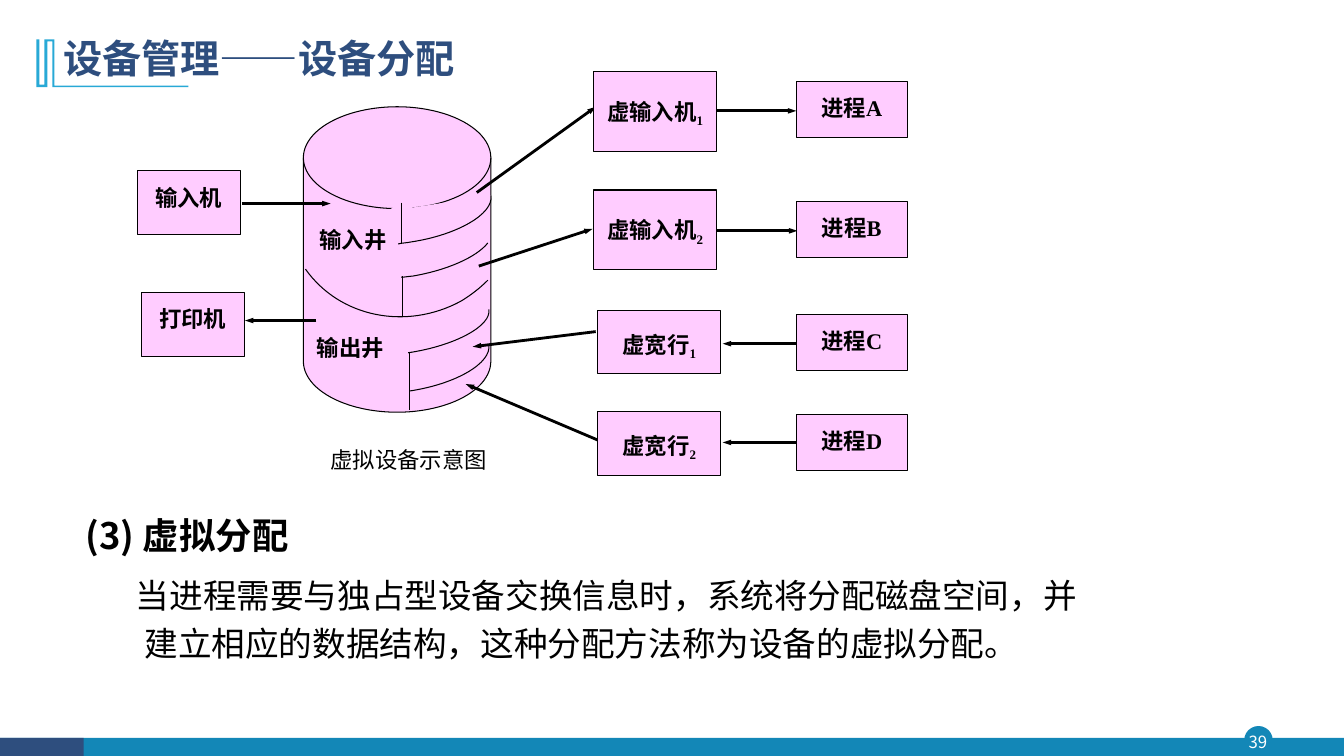
"""Build the slide on virtual device allocation, laid out on a grid of 0.1 inch cells."""
from copy import deepcopy
from dataclasses import dataclass
from typing import NamedTuple, Optional, Union

from lxml.etree import SubElement
from pptx import Presentation
from pptx.dml.color import RGBColor
from pptx.enum.shapes import MSO_CONNECTOR, MSO_SHAPE
from pptx.enum.text import MSO_ANCHOR, PP_ALIGN
from pptx.oxml.ns import qn
from pptx.shapes.autoshape import Shape
from pptx.shapes.shapetree import GroupShapes, SlideShapes
from pptx.util import Emu, Inches, Pt

PINK = RGBColor(0xFF, 0xCC, 0xFF)
BLACK = RGBColor(0x00, 0x00, 0x00)
WHITE = RGBColor(0xFF, 0xFF, 0xFF)
NAVY = RGBColor(0x2E, 0x4E, 0x7E)
TEAL = RGBColor(0x13, 0x87, 0xB7)
SKY = RGBColor(0x28, 0xA9, 0xD6)
SANS, SERIF = "Noto Sans CJK SC", "Times New Roman"
COLUMNS, ROWS = 133.33, 75
Canvas = Union[SlideShapes, GroupShapes]


class Point(NamedTuple):
    column: float
    row: float


class Area(NamedTuple):
    column: float
    row: float
    columns: float
    rows: float


@dataclass(frozen=True)
class Style:
    size: float = 16
    font: str = SERIF
    color: RGBColor = BLACK
    bold: bool = True
    align: PP_ALIGN = PP_ALIGN.LEFT
    spacing: float = 1.0
    before: float = 0
    anchor: MSO_ANCHOR = MSO_ANCHOR.TOP
    margin: Optional[float] = None


@dataclass(frozen=True)
class Label:
    area: Area
    text: str
    style: Style
    index: str = ""


@dataclass(frozen=True)
class Sector:
    arc: tuple[tuple[float, float], ...]
    corner: tuple[float, float]


DEVICE = Style(align=PP_ALIGN.CENTER, spacing=1.3)
PRINTER = Style(align=PP_ALIGN.CENTER, spacing=1.5, before=4.8)
READER = Style(align=PP_ALIGN.CENTER, spacing=1.7, before=4.8)
WELL = Style(align=PP_ALIGN.JUSTIFY)
HEADING = Style(26, SANS, align=PP_ALIGN.JUSTIFY, spacing=1.5, before=7.8)
BODY = Style(24, bold=False, spacing=1.2, before=7.2)

PROCESSES = [Label(Area(79, row, 11, 5.6), f"进程{name}", DEVICE)
             for name, row in zip("ABCD", (8.05, 20, 31.2, 41.1))]
READERS = [Label(Area(58.9, row, 12.2, 7.9), "虚输入机", READER, index)
           for index, row in (("1", 7.1), ("2", 18.85))]
PRINTERS = [Label(Area(59.3, row, 12.2, 6.3), "虚宽行", PRINTER, index)
            for index, row in (("1", 30.8), ("2", 40.85))]
DEVICES = [Label(Area(13.6, 16.95, 10.25, 6.35), "输入机", DEVICE),
           Label(Area(14, 29, 10.25, 6.35), "打印机", DEVICE)]
WELLS = [Label(Area(30.7, 21.9, 9.9, 4.6), "输入井", WELL),
         Label(Area(30.45, 32.65, 9.5, 5.6), "输出井", WELL)]
CAPTIONS = [
    Label(Area(31.8, 43.8, 19.8, 3.7), "虚拟设备示意图", Style(bold=False, before=4.8)),
    Label(Area(5.3, 3.2, 104.9, 5.6), "设备管理——设备分配",
          Style(28, SANS, NAVY, spacing=0.9, anchor=MSO_ANCHOR.MIDDLE)),
    Label(Area(123.2, 72, 3.2, 3.1), "39",
          Style(12, SANS, WHITE, False, PP_ALIGN.CENTER, anchor=MSO_ANCHOR.MIDDLE, margin=0)),
]
SECTORS = [
    Sector(((48.4, 27.8), (47.6, 28.6), (46.7, 29.3), (45.7, 29.9),
            (40.3, 32.8), (33.7, 31.5), (30.3, 26.7)), (40.1, 19.8)),
    Sector(((40.5, 35), (45.2, 34.3), (48.8, 32.3), (48.5, 30.7)), (40.1, 32)),
    Sector(((40.6, 38.8), (45.3, 38.1), (48.8, 36), (48.5, 34.2)), (40.1, 35.5)),
    Sector(((39.8, 27.5), (40.2, 27.5), (40.6, 27.4), (40.9, 27.4),
            (44.4, 26.8), (47.3, 25.5), (48.4, 24.1)), (40.4, 24)),
    Sector(((39.5, 24.2), (39.9, 24.1), (40.3, 24.1), (40.8, 24),
            (45.4, 23.3), (49, 21.2), (48.7, 19.4)), (40.2, 20.7)),
]
DIVIDERS = [(39.8, 20.1, 24.1), (39.95, 27.4, 31.4), (40.6, 34.9, 40.7)]
ARROWS = [
    (Point(81.1, 43.9), Point(71.7, 43.9)), (Point(81.1, 34.1), Point(71.7, 34.1)),
    (Point(69.7, 22.9), Point(79.1, 22.9)), (Point(69.6, 11), Point(79, 11)),
    (Point(24, 20.2), Point(32.8, 20.2)), (Point(31.4, 31.8), Point(24.3, 31.8)),
    (Point(47.3, 19.1), Point(59.1, 10.6)), (Point(47.5, 26.4), Point(58.8, 22.7)),
    (Point(59.1, 32.9), Point(46.9, 34.4)), (Point(59.4, 43.7), Point(46.2, 38.1)),
]
TITLE_MARK = (
    (5.4, 3.9), (5.4, 8.5), (18.7, 8.5), (18.7, 8.65), (5.2, 8.65), (5.2, 4.1), (4.7, 4.1),
    (4.7, 8.65), (3.6, 8.65), (3.6, 3.9), (3.9, 3.9), (3.9, 8.4), (4.4, 8.4), (4.4, 3.9))


def cells(count: float) -> Emu:
    """Turn a count of grid cells into a length."""
    return Inches(count / 10)


def paint(shape: Shape, fill: RGBColor, line: Optional[RGBColor], width: float = 0.75) -> None:
    """Set fill and outline and drop the shadow."""
    shape.shadow.inherit = False
    shape.fill.solid()
    shape.fill.fore_color.rgb = fill
    if line is None:
        shape.line.fill.background()
    else:
        shape.line.color.rgb, shape.line.width = line, Pt(width)


def format_paragraph(para, style: Style) -> None:
    """Apply a style to a paragraph and its runs."""
    para.alignment, para.line_spacing = style.align, style.spacing
    para.space_before = Pt(style.before)
    for span in para.runs:
        span.font.name, span.font.size, span.font.bold = style.font, Pt(style.size), style.bold
        span.font.color.rgb = style.color
        SubElement(span.font._element, qn("a:ea"), typeface=SANS)


def write(box: Shape, label: Label) -> None:
    """Put a label with its optional subscript into a box."""
    frame = box.text_frame
    frame.word_wrap, frame.vertical_anchor = True, label.style.anchor
    if label.style.margin is not None:
        frame.margin_left = frame.margin_right = cells(label.style.margin)
        frame.margin_top = frame.margin_bottom = cells(label.style.margin)
    frame.text = label.text
    para = frame.paragraphs[0]
    if label.index:
        span = para.add_run()
        span.text = label.index
        span.font._element.set("baseline", "-25000")
    format_paragraph(para, label.style)


def add_preset(canvas: Canvas, kind: MSO_SHAPE, area: Area, fill: RGBColor,
               line: Optional[RGBColor] = None, width: float = 0.75) -> Shape:
    """Draw a preset shape on the grid."""
    shape = canvas.add_shape(kind, *map(cells, area))
    paint(shape, fill, line, width)
    return shape


def add_outline(canvas: Canvas, points: tuple[tuple[float, float], ...],
                fill: RGBColor, line: Optional[RGBColor] = None) -> Shape:
    """Draw a closed freeform through grid points."""
    corners = [tuple(map(cells, point)) for point in points]
    builder = canvas.build_freeform(*corners[0])
    builder.add_line_segments(corners[1:], close=True)
    shape = builder.convert_to_shape()
    paint(shape, fill, line)
    return shape


def add_sector(canvas: Canvas, sector: Sector) -> None:
    """Draw a filled wedge whose curved side alone is stroked."""
    shape = add_outline(canvas, (*sector.arc, sector.corner), PINK, BLACK)
    wedge = next(shape._element.iter(qn("a:path")))
    knots = wedge.findall(qn("a:lnTo"))[:len(sector.arc) - 1]
    for first in range(0, len(knots), 3):
        curve = SubElement(wedge, qn("a:cubicBezTo"))
        knots[first].addprevious(curve)
        for knot in knots[first:first + 3]:
            curve.append(knot[0])
            wedge.remove(knot)
    arc = deepcopy(wedge)
    for side in arc.findall(qn("a:lnTo")) + arc.findall(qn("a:close")):
        arc.remove(side)
    arc.set("fill", "none")
    wedge.set("stroke", "0")
    wedge.addprevious(arc)


def add_line(canvas: Canvas, start: Point, end: Point, width: float, arrow: bool = False) -> None:
    """Draw a straight line, with an arrowhead at its end if asked."""
    line = canvas.add_connector(MSO_CONNECTOR.STRAIGHT, *map(cells, (*start, *end)))
    line.line.color.rgb, line.line.width = BLACK, Pt(width)
    if arrow:
        SubElement(line.line._get_or_add_ln(), qn("a:tailEnd"), type="triangle", w="sm", len="med")
    SubElement(line._element.spPr, qn("a:effectLst"))


def add_explanation(canvas: Canvas) -> None:
    """Write the heading and the paragraph under the diagram."""
    frame = canvas.add_textbox(*map(cells, Area(7.5, 48.25, 102.7, 18.5))).text_frame
    frame.word_wrap = True
    frame.text = ("(3) 虚拟分配\n当进程需要与独占型设备交换信息时，系统将分配磁盘空间，"
                  "并建立相应的数据结构，这种分配方法称为设备的虚拟分配。")
    for para, style in zip(frame.paragraphs, (HEADING, BODY)):
        format_paragraph(para, style)
    properties = frame.paragraphs[1]._p.get_or_add_pPr()
    properties.set("marL", str(cells(5.85)))
    properties.set("indent", str(cells(-0.85)))


def add_diagram(canvas: Canvas) -> None:
    """Draw the disk, its wells, the devices and the processes."""
    add_preset(canvas, MSO_SHAPE.FLOWCHART_MAGNETIC_DISK, Area(30.1, 10.6, 18.6, 30.3), PINK, BLACK)
    for sector in SECTORS:
        add_sector(canvas, sector)
    for column, top, bottom in DIVIDERS:
        add_line(canvas, Point(column, top), Point(column, bottom), 0.75)
    for start, end in ARROWS:
        add_line(canvas, start, end, 2, arrow=True)
    for label in PROCESSES + READERS + PRINTERS + DEVICES:
        write(add_preset(canvas, MSO_SHAPE.RECTANGLE, label.area, PINK, BLACK), label)
    for label in WELLS:
        write(canvas.add_textbox(*map(cells, label.area)), label)


def main() -> None:
    """Assemble and save the deck."""
    deck = Presentation()
    deck.slide_width, deck.slide_height = cells(COLUMNS), cells(ROWS)
    canvas = deck.slides.add_slide(deck.slide_layouts[6]).shapes
    add_preset(canvas, MSO_SHAPE.OVAL, Area(123.5, 72.1, 2.7, 2.7), TEAL, TEAL, 1)
    for columns, color in ((COLUMNS, TEAL), (8.3, NAVY)):
        add_preset(canvas, MSO_SHAPE.RECTANGLE, Area(0, 73.2, columns, 1.8), color)
    add_outline(canvas, TITLE_MARK, SKY)
    add_explanation(canvas)
    add_diagram(canvas.add_group_shape().shapes)
    for label in CAPTIONS:
        write(canvas.add_textbox(*map(cells, label.area)), label)
    deck.save("out.pptx")


if __name__ == "__main__":
    main()
